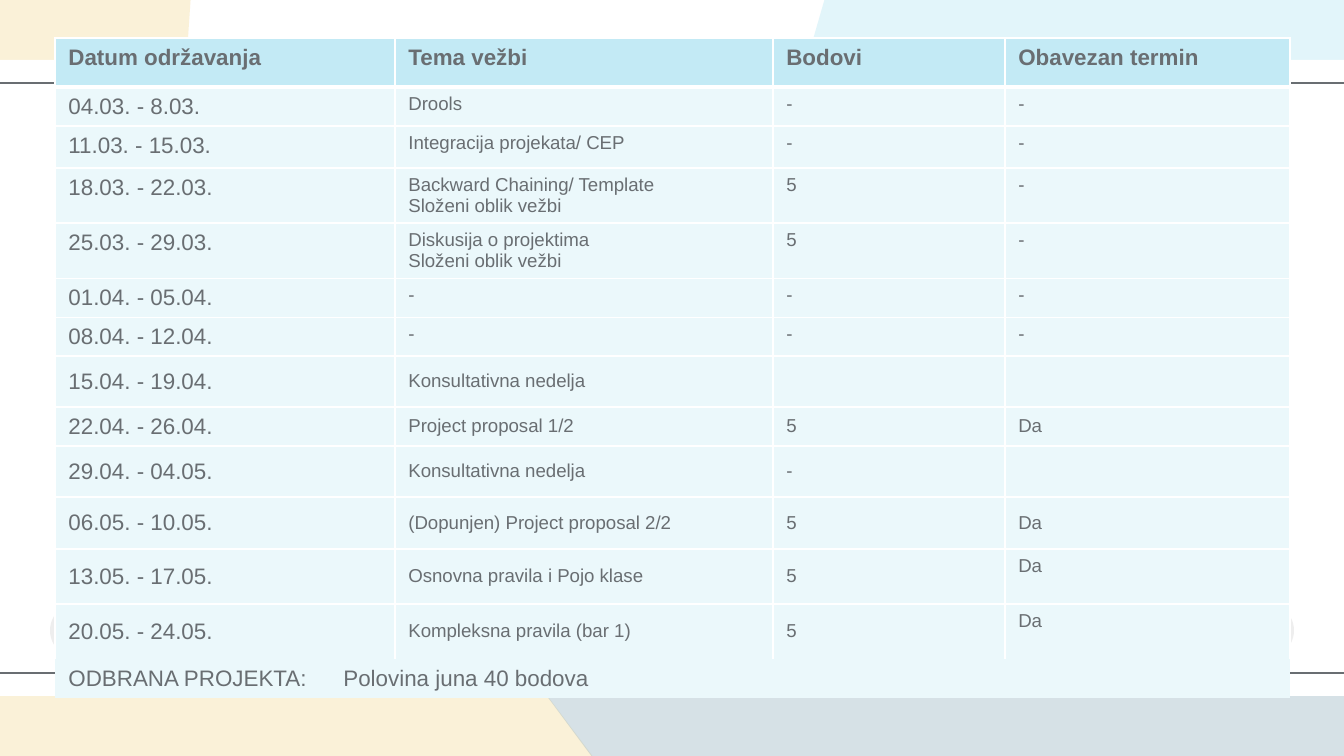
"""Build the slide with the schedule of the exercises."""
from typing import NamedTuple

from lxml import etree
from pptx import Presentation
from pptx import util as u
from pptx.dml.color import RGBColor
from pptx.enum import shapes, text
from pptx.oxml.ns import qn

SCALE = 9144000 / 1344
FONT = "Arial"
WHITE = RGBColor(0xFF, 0xFF, 0xFF)
GREY = RGBColor(0x69, 0x6E, 0x72)
PALE = RGBColor(0xEE, 0xEE, 0xEE)
HEAD = RGBColor(0xC3, 0xEA, 0xF5)
BODY = RGBColor(0xEB, 0xF8, 0xFB)
SKY = RGBColor(0x9E, 0xDD, 0xEF)
CREAM = RGBColor(0xF7, 0xE5, 0xB7)
SLATE = RGBColor(0x96, 0xB3, 0xC1)
TOP = text.MSO_ANCHOR.TOP
MID = text.MSO_ANCHOR.MIDDLE


class Patch(NamedTuple):
    color: RGBColor
    alpha: int
    points: list[tuple[int, int]]


class Box(NamedTuple):
    kind: shapes.MSO_SHAPE
    color: RGBColor
    left: int
    top: int
    width: int
    height: int


class Row(NamedTuple):
    height: int
    cells: tuple[str, str, str, str]
    anchor: text.MSO_ANCHOR = TOP
    last: text.MSO_ANCHOR = TOP


PATCHES = [
    Patch(SKY, 29, [(829, -16), (1355, -16), (1355, 403), (704, 418)]),
    Patch(CREAM, 53, [(192, -20), (-19, -20), (-19, 774), (606, 774), (177, 202)]),
    Patch(SLATE, 39, [(175, 195), (607, 777), (1386, 762), (1352, 403), (708, 418)]),
]
PANEL = Box(shapes.MSO_SHAPE.RECTANGLE, WHITE, -4, 60, 1351, 636)
DOTS = [Box(shapes.MSO_SHAPE.OVAL, PALE, left, 603, 55, 55) for left in (50, 1239)]
RULES = [83, 673]
COLS = [340, 378, 232, 285]
ROWS = [
    Row(49, ("Datum održavanja", "Tema vežbi", "Bodovi", "Obavezan termin")),
    Row(39, ("04.03. - 8.03.", "Drools", "-", "-")),
    Row(42, ("11.03. - 15.03.", "Integracija projekata/ CEP", "-", "-")),
    Row(55, ("18.03. - 22.03.", "Backward Chaining/ Template\nSloženi oblik vežbi", "5", "-")),
    Row(55, ("25.03. - 29.03.", "Diskusija o projektima\nSloženi oblik vežbi", "5", "-")),
    Row(39, ("01.04. - 05.04.", "-", "-", "-")),
    Row(38, ("08.04. - 12.04.", "-", "-", "-")),
    Row(51, ("15.04. - 19.04.", "Konsultativna nedelja", "", ""), MID, MID),
    Row(39, ("22.04. - 26.04.", "Project proposal 1/2", "5", "Da"), MID, MID),
    Row(51, ("29.04. - 04.05.", "Konsultativna nedelja", "-", ""), MID, MID),
    Row(52, ("06.05. - 10.05.", "(Dopunjen) Project proposal 2/2", "5", "Da"), MID, MID),
    Row(55, ("13.05. - 17.05.", "Osnovna pravila i Pojo klase", "5", "Da"), MID),
    Row(55, ("20.05. - 24.05.", "Kompleksna pravila (bar 1)", "5", "Da"), MID),
    Row(39, ("ODBRANA PROJEKTA:\tPolovina juna 40 bodova", "", "", ""), MID, MID),
]


def px(size: int) -> u.Emu:
    """Turn pixels into EMU."""
    return u.Emu(round(size * SCALE))


def paint(shape, color: RGBColor) -> None:
    """Give a shape a flat fill without line or shadow."""
    shape.shadow.inherit = False
    shape.fill.solid()
    shape.fill.fore_color.rgb = color
    shape.line.fill.background()


def add_patch(slide, patch: Patch) -> None:
    """Draw a translucent polygon."""
    pen = slide.shapes.build_freeform(*patch.points[0], scale=SCALE)
    pen.add_line_segments(patch.points[1:], close=True)
    shape = pen.convert_to_shape()
    paint(shape, patch.color)
    tint = shape._element.spPr.find(qn("a:solidFill"))[0]
    etree.SubElement(tint, qn("a:alpha"), val=str(patch.alpha * 1000))


def add_box(slide, box: Box) -> None:
    """Draw a plain preset shape."""
    shape = slide.shapes.add_shape(box.kind, *map(px, box[2:]))
    paint(shape, box.color)


def add_rule(slide, top: int) -> None:
    """Draw a thin line across the slide."""
    line = slide.shapes.add_connector(
        shapes.MSO_CONNECTOR.STRAIGHT, px(-16), px(top), px(1349), px(top))
    line.line.color.rgb = GREY
    line.line.width = u.Pt(0.75)
    etree.SubElement(line._element.spPr, qn("a:effectLst"))


def set_edge(cell, index: int, side: str, width: int) -> None:
    """Set one cell border in points, with zero for none."""
    edge = etree.Element(qn(f"a:ln{side}"), w=str(u.Pt(width)))
    if width:
        fill = etree.SubElement(edge, qn("a:solidFill"))
        etree.SubElement(fill, qn("a:srgbClr"), val=str(WHITE))
    else:
        etree.SubElement(edge, qn("a:noFill"))
    cell._tc.get_or_add_tcPr().insert(index, edge)


def fill_cell(cell, words: str, size: int, head: bool, anchor: text.MSO_ANCHOR) -> None:
    """Write and style the text of one cell."""
    cell.fill.solid()
    cell.fill.fore_color.rgb = HEAD if head else BODY
    cell.vertical_anchor = anchor
    cell.text = words
    for para in cell.text_frame.paragraphs:
        font = para.font
        font.name, font.size, font.bold = FONT, u.Pt(size), head
        font.color.rgb = GREY


def add_plan(slide) -> None:
    """Draw the schedule table."""
    frame = slide.shapes.add_table(
        len(ROWS), len(COLS), px(55), px(38), px(sum(COLS)), px(sum(r.height for r in ROWS)))
    table = frame.table
    table.horz_banding = False
    for col, width in zip(table.columns, COLS):
        col.width = px(width)
    end = len(ROWS) - 1
    for i, row in enumerate(ROWS):
        table.rows[i].height = px(row.height)
        for j, words in enumerate(row.cells):
            cell = table.cell(i, j)
            size = 12 if i == 0 or j == 0 else 10
            fill_cell(cell, words, size, i == 0, row.last if j == 3 else row.anchor)
            side = 0 if i == end else 1
            above = 3 if i == 1 else side
            below = 3 if i == 0 else int(i < end - 1)
            for k, width in enumerate((side, side, above, below)):
                set_edge(cell, k, "LRTB"[k], width)
    foot = table.cell(end, 0)
    foot.merge(table.cell(end, 3))
    tabs = etree.Element(qn("a:tabLst"))
    etree.SubElement(tabs, qn("a:tab"), pos=str(px(275)), algn="l")
    foot.text_frame.paragraphs[0]._p.get_or_add_pPr().insert(0, tabs)


def main() -> None:
    """Build and save the slide."""
    deck = Presentation()
    deck.slide_width, deck.slide_height = px(1344), px(756)
    slide = deck.slides.add_slide(deck.slide_layouts[6])
    for patch in PATCHES:
        add_patch(slide, patch)
    add_box(slide, PANEL)
    for top in RULES:
        add_rule(slide, top)
    for dot in DOTS:
        add_box(slide, dot)
    add_plan(slide)
    deck.save("out.pptx")


if __name__ == "__main__":
    main()
